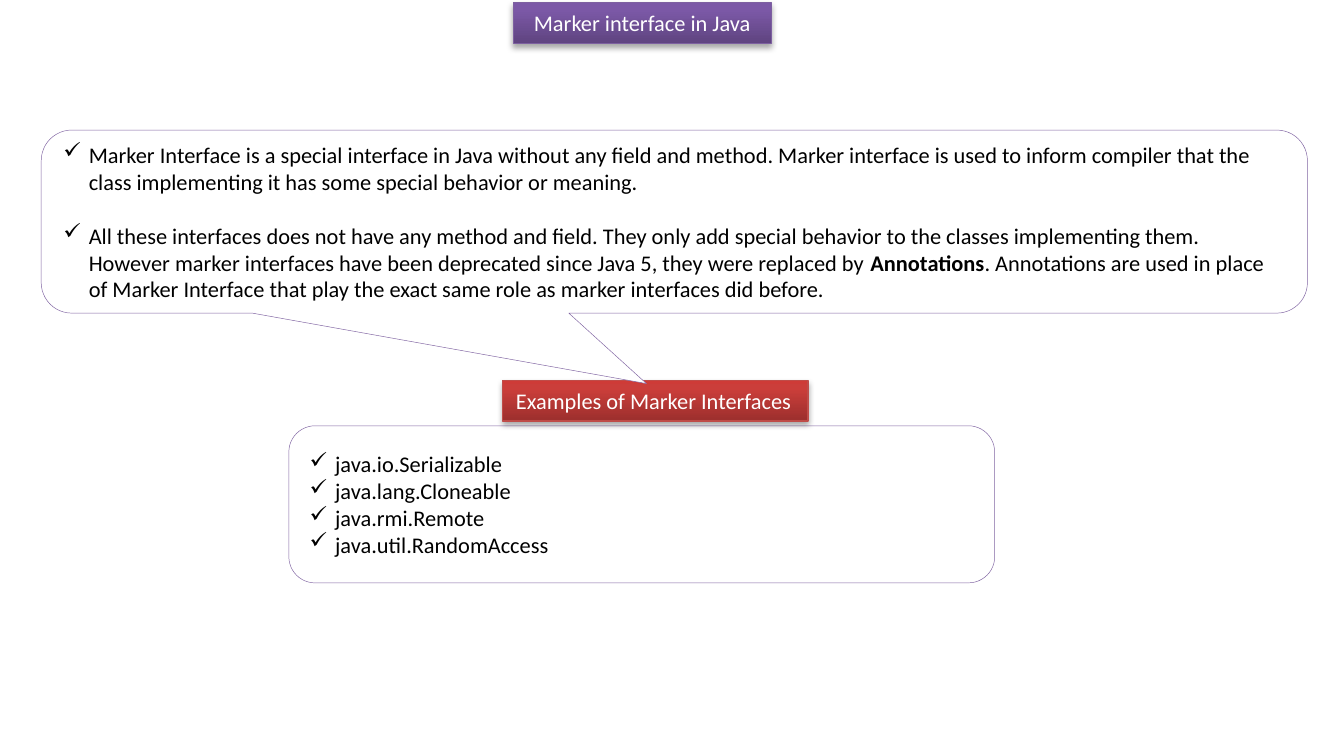
from copy import deepcopy
from dataclasses import dataclass

from lxml import etree
from pptx import Presentation
from pptx import util as u
from pptx.dml.color import RGBColor
from pptx.enum import shapes, text
from pptx.oxml import ns


@dataclass(frozen=True)
class Theme:
    font: str = "Calibri"
    size: float = 12
    ink: str = "000000"
    paper: str = "FFFFFF"
    edge: str = "8064A2"
    # Each tag: gradient from bottom to top, then the line
    purple: tuple = ("5F4480", "7B58A6", "7C57A8", "7D60A0")
    red: tuple = ("9C2F2D", "CB3E3A", "CE3B37", "BF4C48")
    stops: tuple = (0, 0.8, 1)
    hang: float = 0.48
    gap: float = 14.6


T = Theme()
KIND = shapes.MSO_SHAPE

FACTS = [
    ["Marker Interface is a special interface in Java without any field and "
     "method. Marker interface is used to inform compiler that the class "
     "implementing it has some special behavior or meaning."],
    ["All these interfaces does not have any method and field. They only add "
     "special behavior to the classes implementing them. However marker "
     "interfaces have been deprecated since Java 5, they were replaced by ",
     "Annotations",
     ". Annotations are used in place of Marker Interface that play the exact "
     "same role as marker interfaces did before."],
]
NAMES = [["java.io.Serializable"], ["java.lang.Cloneable"],
         ["java.rmi.Remote"], ["java.util.RandomAccess"]]


def rgb(code):
    return RGBColor.from_string(code)


def add_sub(node, tag, **attrs):
    return etree.SubElement(node, ns.qn(tag), attrs)


def add_box(slide, kind, box, edge, width):
    shape = slide.shapes.add_shape(kind, *(u.Cm(n) for n in box))
    shape.shadow.inherit = False
    shape.line.color.rgb = rgb(edge)
    shape.line.width = u.Pt(width)
    return shape


def style(font, color):
    font.name, font.size = T.font, u.Pt(T.size)
    font.color.rgb = rgb(color)


def add_tag(slide, box, label, tones, wrap=True):
    """Heading with a gradient and a soft shadow."""
    *grads, edge = tones
    shape = add_box(slide, KIND.RECTANGLE, box, edge, 0.75)

    # Gradient with three stops
    shape.fill.gradient()
    shape.fill.gradient_angle = 90
    props = shape._element.spPr
    last = props.xpath(".//a:gs")[-1]
    last.addnext(deepcopy(last))
    for stop, pos, tone in zip(shape.fill.gradient_stops, T.stops, grads):
        stop.position = pos
        stop.color.rgb = rgb(tone)

    # Shadow
    shade = add_sub(props.find(ns.qn("a:effectLst")), "a:outerShdw",
                    blurRad="40000", dist="23000", dir="5400000", rotWithShape="0")
    black = add_sub(shade, "a:srgbClr", val=T.ink)
    add_sub(black, "a:alpha", val="35000")

    # Label
    frame = shape.text_frame
    frame.text = label
    frame.word_wrap = wrap
    frame.auto_size = text.MSO_AUTO_SIZE.SHAPE_TO_FIT_TEXT
    frame.vertical_anchor = text.MSO_ANCHOR.TOP
    para = frame.paragraphs[0]
    para.alignment = text.PP_ALIGN.CENTER if wrap else text.PP_ALIGN.LEFT
    style(para.runs[0].font, T.paper)


def add_list(slide, kind, box, items, gap=0):
    """Outlined panel of ticked items; the odd parts of an item are bold."""
    shape = add_box(slide, kind, box, T.edge, 0.25)
    shape.fill.solid()
    shape.fill.fore_color.rgb = rgb(T.paper)
    frame = shape.text_frame
    frame.word_wrap = True
    frame.vertical_anchor = text.MSO_ANCHOR.MIDDLE
    for i, parts in enumerate(items):
        para = frame.add_paragraph() if i else frame.paragraphs[0]
        para.alignment = text.PP_ALIGN.LEFT
        if i and gap:
            para.space_before = u.Pt(gap)
        props = para._p.get_or_add_pPr()
        props.set("marL", str(u.Cm(T.hang)))
        props.set("indent", str(-u.Cm(T.hang)))
        add_sub(props, "a:buChar", char="✓")
        for j, part in enumerate(parts):
            run = para.add_run()
            run.text = part
            style(run.font, T.ink)
            run.font.bold = j % 2 == 1
    return shape


def add_examples(slide, x, y):
    """List of examples under its heading."""
    add_list(slide, KIND.ROUNDED_RECTANGLE, (x, y + 0.86, 13.34, 2.97), NAMES)
    add_tag(slide, (x + 4.04, y, 5.77, 0.77), "Examples of Marker Interfaces",
            T.red, wrap=False)


def add_facts(slide, box):
    """Callout pointing at the examples."""
    shape = add_list(slide, KIND.ROUNDED_RECTANGULAR_CALLOUT, box, FACTS, T.gap)
    for i, value in enumerate((-0.022, 0.885, 0.167)):
        shape.adjustments[i] = value


def main():
    deck = Presentation()
    deck.slide_width, deck.slide_height = u.Cm(25.4), u.Cm(13.97)
    slide = deck.slides.add_slide(deck.slide_layouts[6])
    add_tag(slide, (9.7, 0.05, 4.88, 0.77), "Marker interface in Java", T.purple)
    add_examples(slide, 5.46, 7.19)
    add_facts(slide, (0.78, 2.46, 23.93, 3.46))
    deck.save("out.pptx")


if __name__ == "__main__":
    main()
